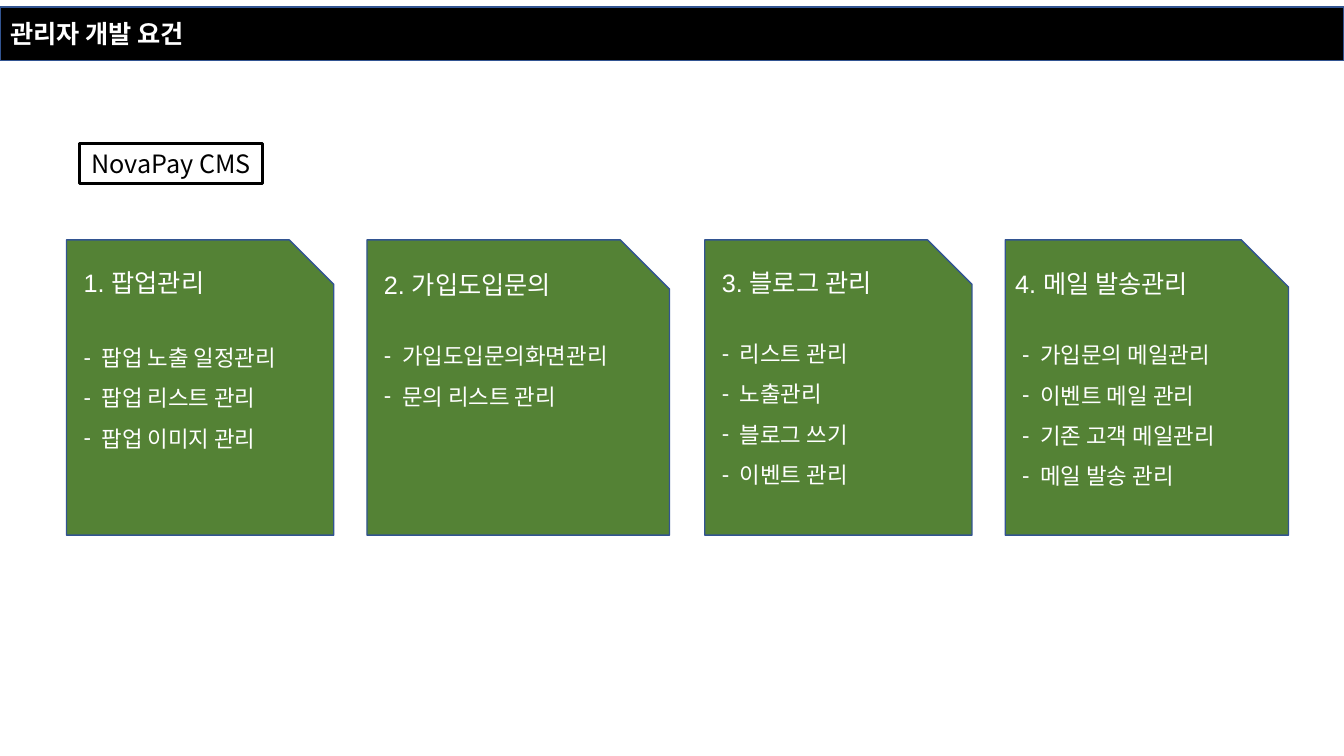
from pptx import Presentation
from pptx.dml.color import RGBColor
from pptx.enum.shapes import MSO_SHAPE
from pptx.enum.text import MSO_ANCHOR, MSO_AUTO_SIZE, PP_ALIGN
from pptx.oxml.ns import qn
from pptx.util import Inches, Pt
from lxml.etree import SubElement

COLORS = {"bar": "000000", "card": "548235", "outline": "325491",
          "light": "FFFFFF", "dark": "000000"}
CARD_TOP, CARD_HEIGHT = 2.38, 2.93
TEXT_INDENT, DASH_WIDTH = 0.07, 0.18
CARDS = [
    (0.66, 2.65, TEXT_INDENT, 24, "1. 팝업관리",
     ["팝업 노출 일정관리", "팝업 리스트 관리", "팝업 이미지 관리"]),
    (3.64, 3, TEXT_INDENT, 21, "2. 가입도입문의",
     ["가입도입문의화면관리", "문의 리스트 관리"]),
    (6.99, 2.65, TEXT_INDENT, 21, "3. 블로그 관리",
     ["리스트 관리", "노출관리", "블로그 쓰기", "이벤트 관리"]),
    (9.97, 2.81, 0, 21, "4. 메일 발송관리",
     ["가입문의 메일관리", "이벤트 메일 관리", "기존 고객 메일관리", "메일 발송 관리"]),
]


def paint(box, fill, line, width):
    """Give a box a solid fill and an outline."""
    box.fill.solid()
    box.fill.fore_color.rgb = RGBColor.from_string(COLORS[fill])
    box.line.color.rgb = RGBColor.from_string(COLORS[line])
    box.line.width = Pt(width)


def style_text(paragraph, size, color="light", font="Arial", bold=False,
               align=PP_ALIGN.LEFT):
    """Format a paragraph and its runs."""
    paragraph.alignment = align
    for run in paragraph.runs:
        run.font.size = Pt(size)
        run.font.name = font
        run.font.bold = bold
        run.font.color.rgb = RGBColor.from_string(COLORS[color])


def set_indent(paragraph, left, dash=False):
    """Indent a paragraph, with a hanging dash if asked."""
    properties = paragraph._p.get_or_add_pPr()
    hanging = DASH_WIDTH if dash else 0
    properties.set("marL", str(Inches(left + hanging)))
    properties.set("indent", str(-Inches(hanging)))
    if dash:
        SubElement(properties, qn("a:buFont")).set("typeface", "Arial")
        SubElement(properties, qn("a:buChar")).set("char", "-")


def add_title_bar(slide, text):
    """Turn the title placeholder into the bar across the top."""
    title = slide.shapes.title
    title.left, title.top = Inches(0), Inches(0.07)
    title.width, title.height = Inches(13.33), Inches(0.53)
    paint(title, "bar", "outline", 1)
    title.text_frame.text = text
    title.text_frame.auto_size = MSO_AUTO_SIZE.NONE
    title.text_frame.vertical_anchor = MSO_ANCHOR.MIDDLE
    style_text(title.text_frame.paragraphs[0], 18, bold=True)


def add_box(slide, preset, left, top, width, height):
    """Add a preset shape without a shadow."""
    box = slide.shapes.add_shape(preset, Inches(left), Inches(top),
                                 Inches(width), Inches(height))
    box.shadow.inherit = False
    return box


def add_system_label(slide, text):
    """Add the outlined name of the system."""
    label = add_box(slide, MSO_SHAPE.RECTANGLE, 0.79, 1.42, 1.81, 0.4)
    paint(label, "light", "dark", 2)
    label.text_frame.text = text
    label.text_frame.word_wrap = False
    style_text(label.text_frame.paragraphs[0], 18, "dark",
               "Noto Sans CJK KR", align=PP_ALIGN.CENTER)


def add_card(slide, left, width, heading_indent, gap, heading, features):
    """Add a card with a heading and its dashed list of features."""
    card = add_box(slide, MSO_SHAPE.SNIP_1_RECTANGLE,
                   left, CARD_TOP, width, CARD_HEIGHT)
    paint(card, "card", "outline", 1)
    frame = card.text_frame
    frame.text = "\n".join([heading, *features])
    frame.word_wrap = True
    frame.vertical_anchor = MSO_ANCHOR.TOP
    heading_line, *feature_lines = frame.paragraphs
    style_text(heading_line, 18)
    set_indent(heading_line, heading_indent)
    for line in feature_lines:
        style_text(line, 16)
        line.line_spacing = 1.5
        line.space_before = Pt(gap if line is feature_lines[0] else 0)
        set_indent(line, TEXT_INDENT, dash=True)


def main():
    """Build the slide and save it."""
    presentation = Presentation()
    presentation.slide_width = Inches(13.33)
    presentation.slide_height = Inches(7.5)
    slide = presentation.slides.add_slide(presentation.slide_layouts[5])
    add_title_bar(slide, "관리자 개발 요건")
    for card in CARDS:
        add_card(slide, *card)
    add_system_label(slide, "NovaPay CMS")
    presentation.save("out.pptx")


if __name__ == "__main__":
    main()
